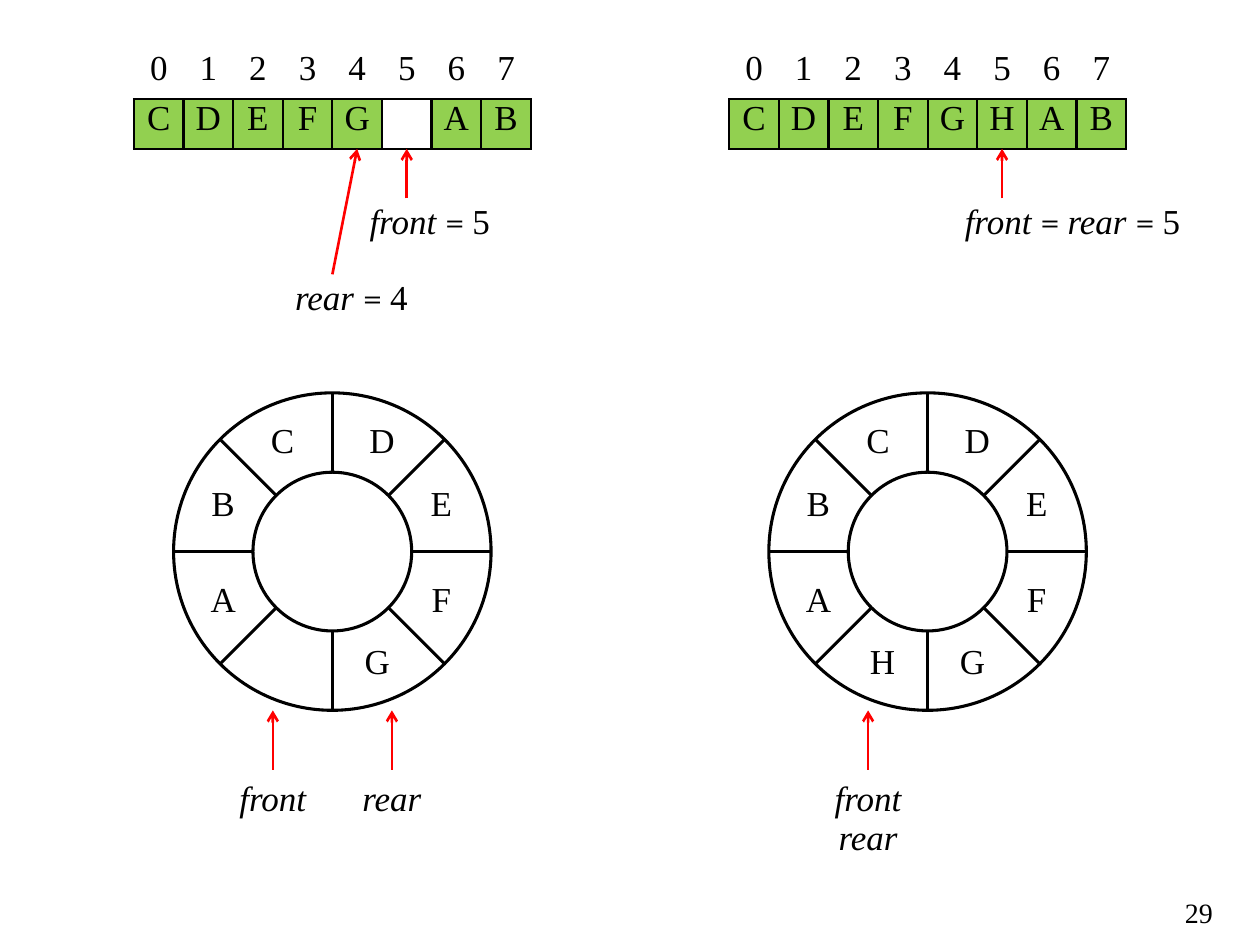
"""Build a slide of two circular queues, each shown as an array and as a ring."""
import dataclasses
import math
import pptx
import pptx.util
import pptx.dml.color
import pptx.enum.shapes
import pptx.enum.text
import pptx.oxml
import pptx.oxml.ns
import lxml.etree


@dataclasses.dataclass
class Theme:
    ink: str = "000000"
    paper: str = "FFFFFF"
    full: str = "92D050"
    mark: str = "FF0000"
    font: str = "Times New Roman"
    math: str = "Cambria"
    size: int = 20
    small: int = 16
    ring: float = 1.75
    thin: float = 1.5


look = Theme()
unit = pptx.util.Cm
point = pptx.util.Pt
tint = pptx.dml.color.RGBColor.from_string
tag = pptx.oxml.ns.qn
align = pptx.enum.text.PP_ALIGN
anchor = pptx.enum.text.MSO_ANCHOR
kind = pptx.enum.shapes.MSO_SHAPE
plain = "{2D5ABB26-0587-4C30-8999-92F81FD0307C}"


def write(frame, text, size=look.size, side=align.CENTER, hold=anchor.TOP, wrap=False):
    frame.word_wrap = wrap
    frame.vertical_anchor = hold
    para = frame.paragraphs[0]
    para.alignment = side
    words = text.split(" ")
    for spot, word in enumerate(words, 1):
        run = para.add_run()
        run.text = word + " " * (spot < len(words))
        run.font.name = look.math if word == "=" else look.font
        run.font.size = point(size)
        run.font.bold = False
        run.font.italic = word.islower()
        run.font.color.rgb = tint(look.ink)


def draw(x1, y1, x2, y2, color, width, head=False):
    line = shapes.add_connector(pptx.enum.shapes.MSO_CONNECTOR.STRAIGHT,
                                unit(x1), unit(y1), unit(x2), unit(y2))
    line.line.color.rgb = tint(color)
    line.line.width = point(width)
    if head:
        lxml.etree.SubElement(line.line._get_or_add_ln(), tag("a:tailEnd"), type="arrow")
    lxml.etree.SubElement(line._element.spPr, tag("a:effectLst"))
    return line


deck = pptx.Presentation()
deck.slide_width, deck.slide_height = unit(25.4), unit(19.05)
shapes = deck.slides.add_slide(deck.slide_layouts[6]).shapes

# left edge, array, labels (text, column, row, width), arrows, ring labels
queues = [
    (2.7, "CDEFG AB",
     [("front = 5", 4.5, 4, 3.5), ("rear = 4", 3, 5.53, 3)],
     [(5.5, 4, 5.5), (4, 5.53, 4.5)],
     [("front", -1.2, 0), ("rear", 1.2, 0)]),
    (14.7, "CDEFGHAB",
     [("front = rear = 5", 4.5, 4, 5.5)],
     [(5.5, 4, 5.5)],
     [("front", -1.2, 0), ("rear", -1.2, 0.79)]),
]
places = [
    (-1, -2.2, align.CENTER, anchor.TOP),
    (1, -2.2, align.CENTER, anchor.TOP),
    (2.2, -1, align.CENTER, anchor.MIDDLE),
    (2.2, 1, align.CENTER, anchor.TOP),
    (1, 2.2, align.LEFT, anchor.MIDDLE),
    (-1, 2.2, align.RIGHT, anchor.MIDDLE),
    (-2.2, 1, align.CENTER, anchor.TOP),
    (-2.2, -1, align.CENTER, anchor.MIDDLE),
]
outer, inner, mid, side = 3.2, 1.6, 11.12, 1.2

for left, items, notes, arrows, ends in queues:
    hub = left + len(items) / 2

    for radius in (outer, inner):
        disc = shapes.add_shape(kind.OVAL, unit(hub - radius), unit(mid - radius),
                                unit(2 * radius), unit(2 * radius))
        disc.shadow.inherit = False
        disc.line.color.rgb = tint(look.ink)
        disc.line.width = point(look.ring)
        if radius == inner:
            disc.fill.solid()
            disc.fill.fore_color.rgb = tint(look.paper)
            continue
        disc.fill.background()
        for turn in range(4):
            dx = outer * math.cos(turn * math.pi / 4)
            dy = outer * math.sin(turn * math.pi / 4)
            draw(hub - dx, mid - dy, hub + dx, mid + dy, look.ink, look.ring)

    for item, (dx, dy, flow, hold) in zip(items, places):
        if item != " ":
            box = shapes.add_textbox(unit(hub + dx - side / 2), unit(mid + dy - side / 2),
                                     unit(side), unit(side))
            write(box.text_frame, item, side=flow, hold=hold)

    foot = mid + outer
    for text, dx, drop in ends:
        box = shapes.add_textbox(unit(hub + dx - side), unit(foot + side + drop),
                                 unit(2 * side), unit(side))
        write(box.text_frame, text)
        if not drop:
            arrow = draw(hub + dx, foot + side, hub + dx, foot, look.mark, look.thin, True)
            arrow.begin_connect(box, 0)

    table = shapes.add_table(2, len(items), unit(left), unit(1), unit(len(items)), unit(2)).table
    table.first_row = table.horz_banding = False
    table._tbl.tblPr.find(tag("a:tableStyleId")).text = plain
    for col, item in enumerate(items):
        for row, text in enumerate((str(col), item)):
            cell = table.cell(row, col)
            cell.margin_left = cell.margin_right = cell.margin_top = cell.margin_bottom = 0
            if text != " ":
                write(cell.text_frame, text, hold=anchor.MIDDLE, wrap=True)
            for edge in ("lnL", "lnR", "lnT", "lnB") if row else ("lnB",):
                rule = lxml.etree.SubElement(cell._tc.get_or_add_tcPr(), tag("a:" + edge),
                                             w=str(point(look.thin)))
                paint = lxml.etree.SubElement(rule, tag("a:solidFill"))
                lxml.etree.SubElement(paint, tag("a:srgbClr"), val=look.ink)
            if row:
                cell.fill.solid()
                cell.fill.fore_color.rgb = tint(look.paper if text == " " else look.full)
            else:
                cell.fill.background()

    for text, col, row, width in notes:
        box = shapes.add_textbox(unit(left + col), unit(row), unit(width), unit(1))
        write(box.text_frame, text, side=align.LEFT, hold=anchor.BOTTOM, wrap=True)
    for start, row, stop in arrows:
        draw(left + start, row, left + stop, 3, look.mark, look.thin, True)

page = shapes.add_textbox(unit(23.5), unit(17.93), unit(1.2), unit(0.81))
write(page.text_frame, "29", size=look.small, side=align.RIGHT, wrap=True)

deck.save("out.pptx")
